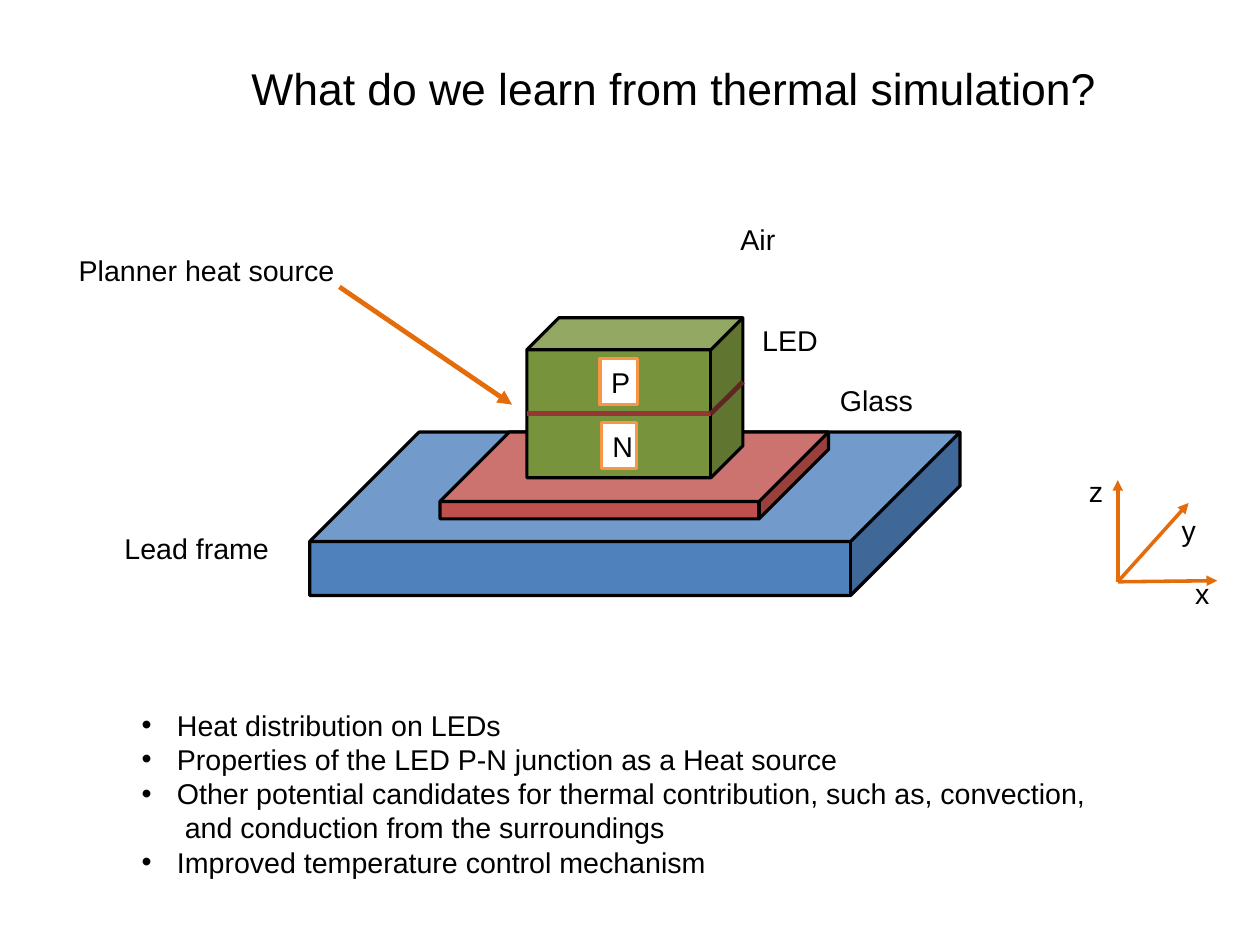
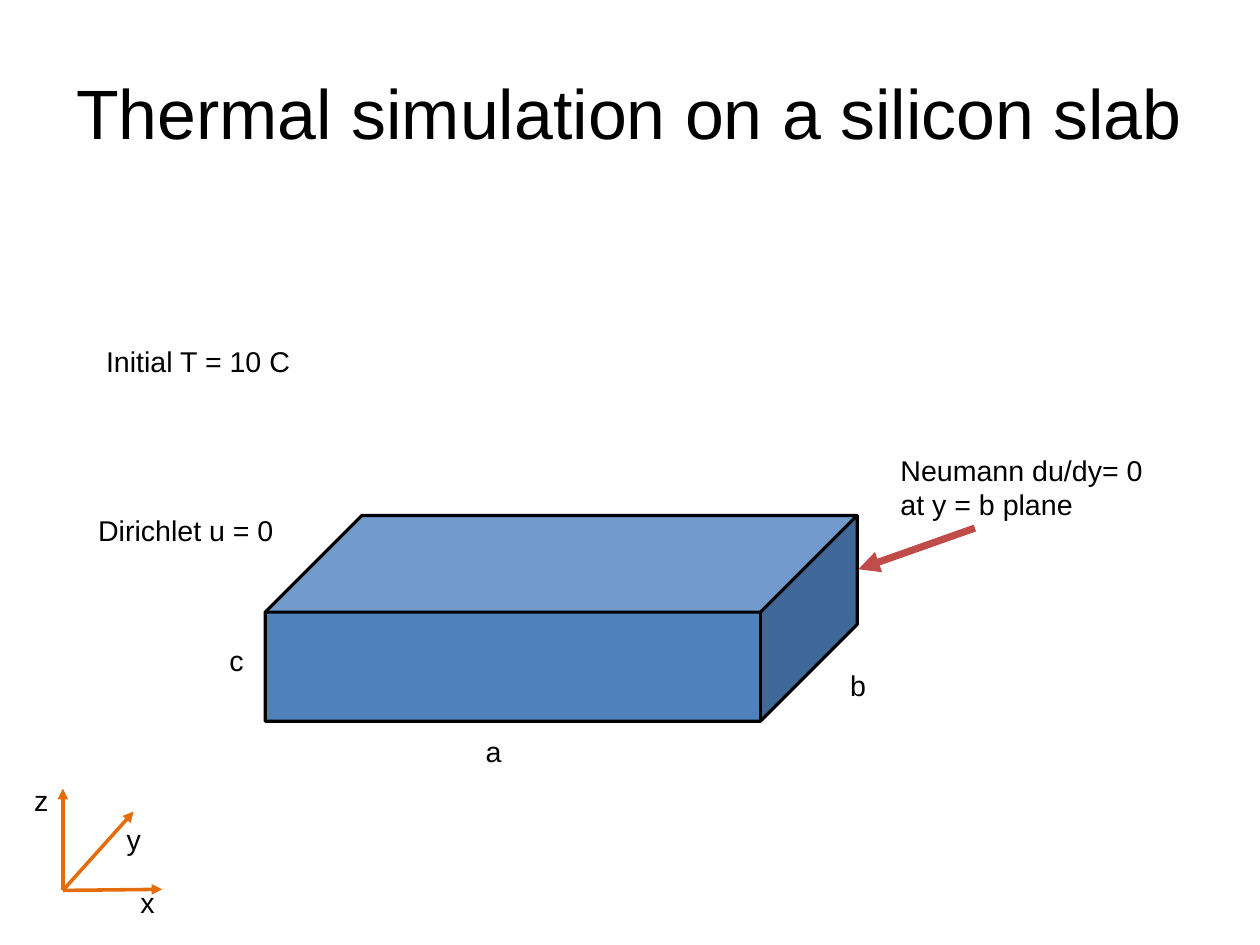
import pptx
import pptx.util
import pptx.dml.color
import pptx.enum.shapes
import pptx.enum.text
import pptx.oxml.ns
from lxml import etree

Inches = pptx.util.Inches
Pt = pptx.util.Pt
RGB = pptx.dml.color.RGBColor
Shape = pptx.enum.shapes.MSO_SHAPE
Align = pptx.enum.text.PP_ALIGN
Anchor = pptx.enum.text.MSO_ANCHOR
Fit = pptx.enum.text.MSO_AUTO_SIZE
qn = pptx.oxml.ns.qn

# Shared colours and formats
BLACK, WHITE = RGB(0, 0, 0), RGB(255, 255, 255)
BLUE, RED, GREEN = RGB(0x4F, 0x81, 0xBD), RGB(0xC0, 0x50, 0x4D), RGB(0x77, 0x93, 0x3C)
SEAM, SHADE = RGB(0x95, 0x37, 0x35), RGB(0x63, 0x25, 0x23)
ORANGE, AMBER, BRICK = RGB(0xE4, 0x6C, 0x0A), RGB(0xF7, 0x96, 0x46), RGB(0xBF, 0x4C, 0x48)
BODY = 18
LABEL = {"word_wrap": False, "auto_size": Fit.SHAPE_TO_FIT_TEXT}
SIGN = {"word_wrap": True, "auto_size": Fit.SHAPE_TO_FIT_TEXT,
        "vertical_anchor": Anchor.TOP}
PLAIN = {"word_wrap": True, "auto_size": Fit.NONE, "vertical_anchor": Anchor.TOP}
BARE = {"word_wrap": True, "auto_size": Fit.NONE, "vertical_anchor": Anchor.MIDDLE,
        "margin_left": 0, "margin_right": 0, "margin_top": 0, "margin_bottom": 0}

# Axes: arrow tip and label place, both relative to the origin
AXES = [("z", (0, -0.89), (-0.35, -0.99)),
        ("x", (0.87, -0.01), (0.58, -0.1)),
        ("y", (0.62, -0.69), (0.46, -0.65))]
CHIP, CUT = (4.61, 2.78, 1.89, 1.4), 0.2
BULLETS = [
    "Heat distribution on LEDs",
    "Properties of the LED P-N junction as a Heat source",
    "Other potential candidates for thermal contribution, such as, convection,"
    "\v and conduction from the surroundings",
    "Improved temperature control mechanism"]

# Slide content: cubes are box, depth ratio, fill; arrows are from, to, colour, width
LEARN = {
    "title": ("What do we learn from thermal simulation?", (2.1, 0.48, 7.68, 0.57),
              28, PLAIN, {"alignment": Align.LEFT}),
    "cubes": [((2.71, 3.78, 5.69, 1.43), 0.67, BLUE),
              ((3.85, 3.78, 3.4, 0.76), 0.8, RED),
              (CHIP, CUT, GREEN)],
    "labels": [("LED", 6.57, 2.78, 0.69, 0.4),
               ("Lead frame", 0.99, 4.6, 1.48, 0.4),
               ("Glass", 7.25, 3.3, 0.85, 0.4),
               ("Planner heat source", 0.59, 2.16, 2.5, 0.4),
               ("Air", 6.38, 1.89, 0.51, 0.4)],
    "arrow": ((2.97, 2.51), (4.48, 3.54), ORANGE, 3),
    "origin": (9.78, 5.09)}
SLAB = {
    "title": ("Thermal simulation on a silicon slab", (0.55, 0.33, 9.92, 1.38),
              44, BARE, {"alignment": Align.CENTER, "line_spacing": 0.9}),
    "cubes": [((2.32, 4.51, 5.18, 1.8), 0.47, BLUE)],
    "labels": [("a", 4.15, 6.37, 0.34, 0.4),
               ("b", 7.34, 5.79, 0.34, 0.4),
               ("c", 1.91, 5.58, 0.33, 0.4),
               ("Dirichlet u = 0", 0.76, 4.44, 1.75, 0.4),
               ("Initial T = 10 C", 0.83, 2.96, 1.83, 0.4),
               ("Neumann du/dy= 0\vat y = b plane", 7.78, 3.91, 2.41, 0.71)],
    "arrow": ((8.53, 4.62), (7.51, 4.98), BRICK, 4.5),
    "origin": (0.55, 7.79)}


def style(part, form):
    for key, value in form.items():
        setattr(part, key, value)


def write(shape, lines, frame, para=None, size=BODY):
    text = shape.text_frame
    style(text, frame)
    for i, line in enumerate(lines):
        item = text.add_paragraph() if i else text.paragraphs[0]
        item.text = line
        style(item, para or {})
        for run in item.runs:
            style(run.font, {"name": "Arial", "size": Pt(size)})
            run.font.color.rgb = BLACK


def label(shapes, lines, box):
    item = shapes.add_textbox(*map(Inches, box))
    write(item, lines, LABEL)
    return item


def solid(shapes, kind, box, fill, edge):
    item = shapes.add_shape(kind, *map(Inches, box))
    item.shadow.inherit = False
    item.fill.solid()
    item.fill.fore_color.rgb = fill
    item.line.color.rgb = edge
    item.line.width = Pt(2)
    return item


def line(shapes, start, end, color, width, head=True):
    item = shapes.add_connector(pptx.enum.shapes.MSO_CONNECTOR.STRAIGHT,
                                *map(Inches, (*start, *end)))
    item.line.color.rgb = color
    item.line.width = Pt(width)
    if head:
        edge = item._element.spPr.find(qn("a:ln"))
        etree.SubElement(edge, qn("a:tailEnd"), type="triangle")
    etree.SubElement(item._element.spPr, qn("a:effectLst"))


def axes(shapes, origin):
    group = shapes.add_group_shape().shapes
    x, y = origin
    for name, tip, spot in AXES:
        line(group, origin, (x + tip[0], y + tip[1]), ORANGE, 2.25)
        label(group, [name], (x + spot[0], y + spot[1], 0.33, 0.4))


def build(deck, data):
    shapes = deck.slides.add_slide(deck.slide_layouts[5]).shapes
    words, box, size, frame, para = data["title"]
    head = shapes.title
    style(head, dict(zip(("left", "top", "width", "height"), map(Inches, box))))
    write(head, [words], frame, para, size)
    for box, cut, fill in data["cubes"]:
        solid(shapes, Shape.CUBE, box, fill, BLACK).adjustments[0] = cut
    for words, *box in data["labels"]:
        label(shapes, [words], box)
    line(shapes, *data["arrow"])
    axes(shapes, data["origin"])
    return shapes


def layers(shapes):
    # Junction halfway up the front face, bent round the corner
    x, y, w, h = CHIP
    deep = CUT * min(w, h)
    side, mid = x + w - deep, y + (h + deep) / 2
    line(shapes, (x, mid), (side, mid), SEAM, 3, False)
    line(shapes, (side, mid), (x + w, mid - deep), SHADE, 3, False)
    # One sign in each half of the face
    tall = 0.4
    for name, way, wide in (("P", -1, 0.33), ("N", 1, 0.31)):
        spot = mid + way * (h - deep) / 4
        box = ((x + side - wide) / 2, spot - tall / 2, wide, tall)
        item = solid(shapes, Shape.RECTANGLE, box, WHITE, AMBER)
        write(item, [name], SIGN, {"alignment": Align.CENTER})


def points(shapes):
    item = label(shapes, BULLETS, (1.14, 6.14, 8.54, 1.92))
    for para in item.text_frame.paragraphs:
        form = para._p.get_or_add_pPr()
        form.set("marL", str(Inches(0.31)))
        form.set("indent", str(-Inches(0.31)))
        etree.SubElement(form, qn("a:buFont"), typeface="Arial")
        etree.SubElement(form, qn("a:buChar"), char="•")


def main():
    deck = pptx.Presentation()
    deck.slide_width, deck.slide_height = Pt(793.75), Pt(595.25)
    learn = build(deck, LEARN)
    layers(learn)
    points(learn)
    build(deck, SLAB)
    deck.save("out.pptx")


if __name__ == "__main__":
    main()
